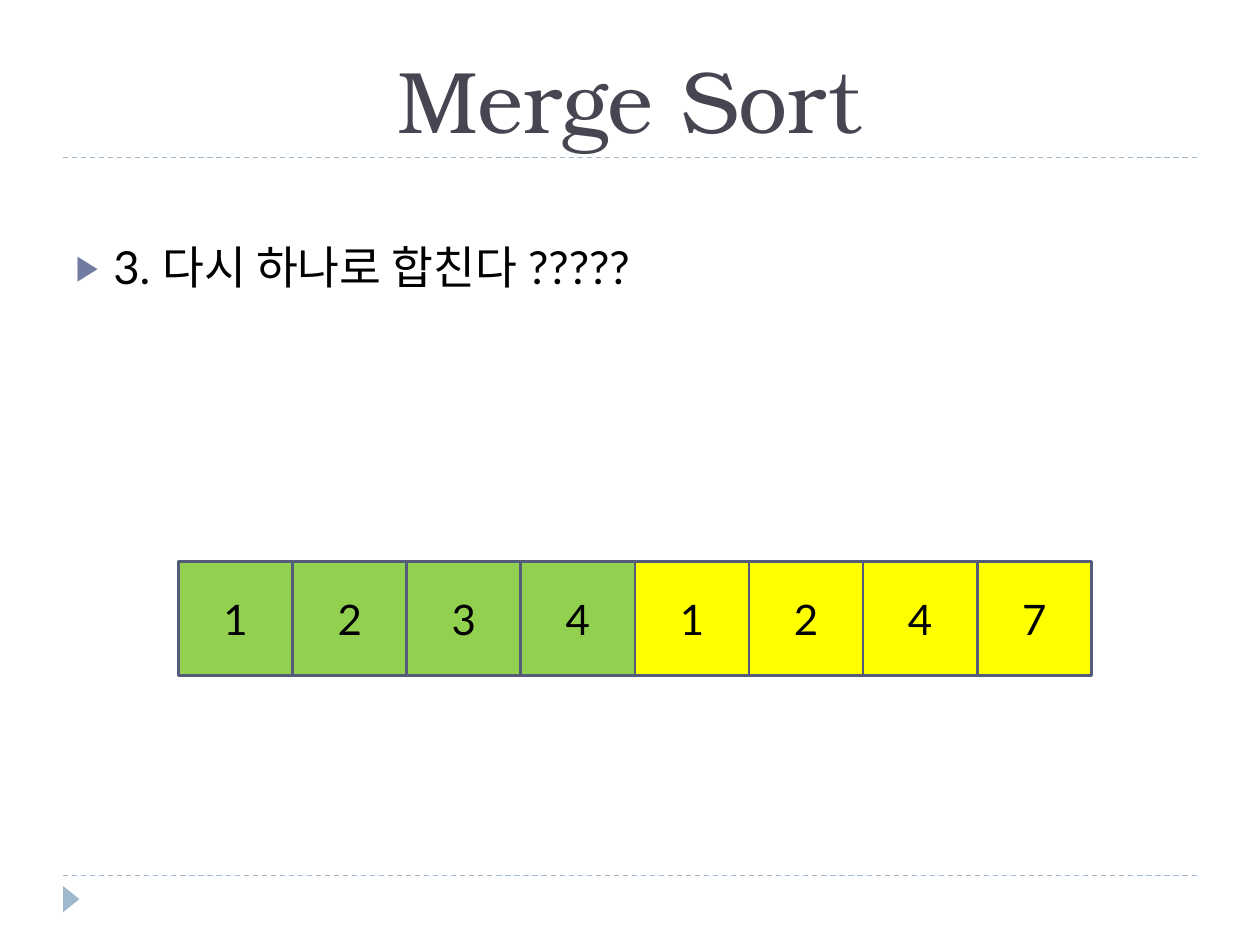
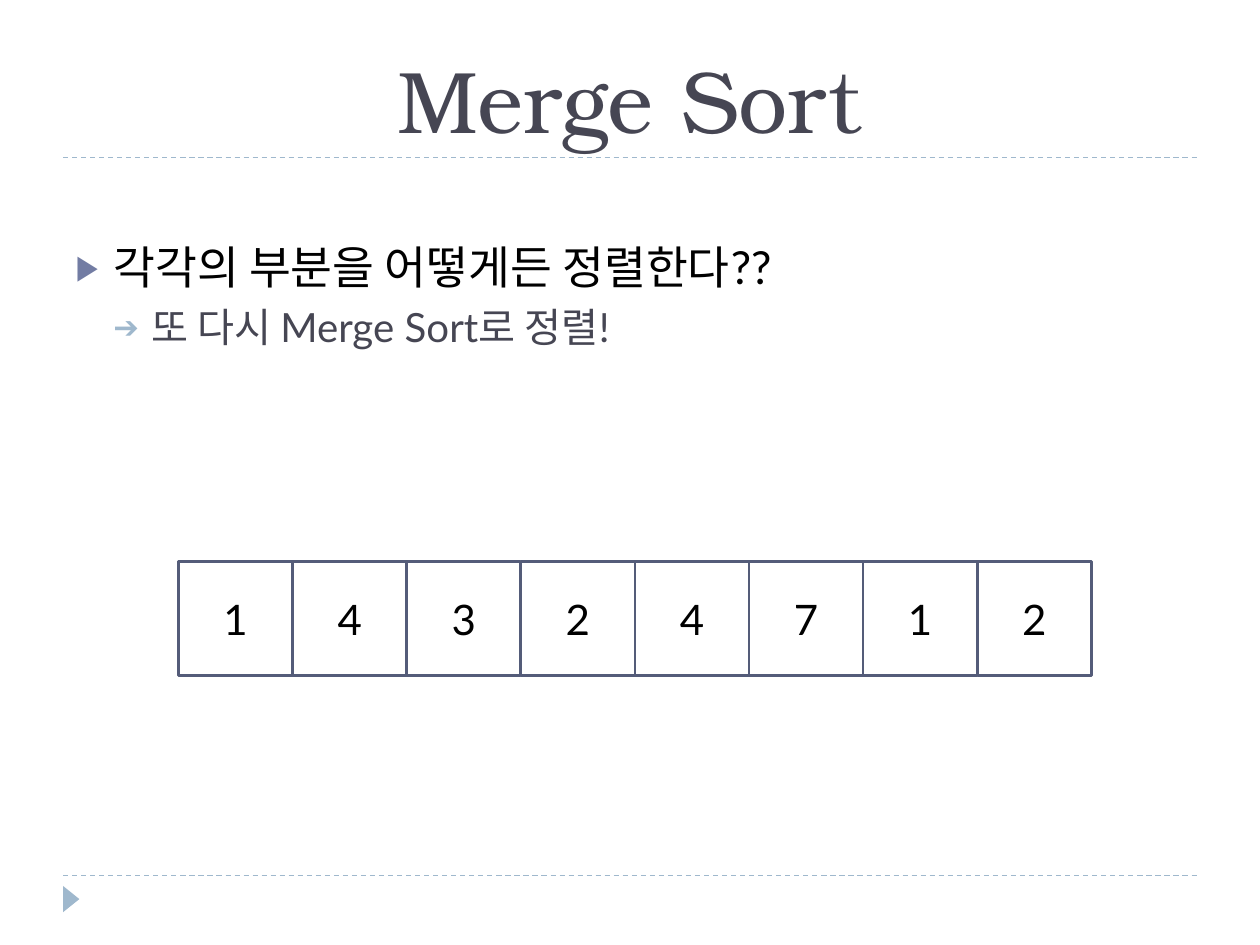
"""Build two Merge Sort slides showing the array before and after sorting its halves."""
from dataclasses import dataclass

from lxml import etree
from pptx import Presentation
from pptx import util as u
from pptx.dml.color import RGBColor
from pptx.enum import dml, shapes, text
from pptx.oxml.ns import qn


@dataclass(frozen=True)
class Theme:
    title_font: str = "TeX Gyre Bonum"
    body_font: str = "Lato"
    ink: str = "000000"
    heading: str = "464653"
    accent: str = "9FB8CD"
    marker: str = "727CA3"
    outline: str = "545C79"
    white: str = "FFFFFF"
    green: str = "92D050"
    yellow: str = "FFFF00"
    title_size: int = 50
    list_size: int = 26
    sublist_size: int = 23
    cell_size: int = 24


theme = Theme()


def add_run(paragraph, words, font, size, color):
    run = paragraph.add_run()
    run.text = words
    run.font.name = font
    run.font.size = u.Pt(size)
    run.font.color.rgb = RGBColor.from_string(color)


def set_bullet(paragraph, character, color, indent):
    properties = paragraph._p.get_or_add_pPr()
    properties.set("marL", str(indent))
    properties.set("indent", str(-u.Cm(0.76)))
    bullet_color = etree.SubElement(properties, qn("a:buClr"))
    etree.SubElement(bullet_color, qn("a:srgbClr"), val=color)
    etree.SubElement(properties, qn("a:buSzPct"), val="76000")
    etree.SubElement(properties, qn("a:buFont"), typeface=theme.body_font)
    etree.SubElement(properties, qn("a:buChar"), char=character)


levels = [
    ("▶", theme.marker, u.Cm(0.76), theme.list_size, theme.ink, 6),
    ("➔", theme.accent, u.Cm(1.52), theme.sublist_size, theme.heading, 5),
]
slides = [
    (["3. 다시 하나로 합친다 ?????"],
     [1, 2, 3, 4, 1, 2, 4, 7], [theme.green, theme.yellow]),
    (["각각의 부분을 어떻게든 정렬한다??", "또 다시 Merge Sort로 정렬!"],
     [1, 4, 3, 2, 4, 7, 1, 2], [theme.white, theme.white]),
]
cell_side = u.Cm(2.3)

presentation = Presentation()
presentation.slide_width, presentation.slide_height = u.Cm(25.4), u.Cm(19.05)

for bullets, numbers, half_fills in slides:
    slide = presentation.slides.add_slide(presentation.slide_layouts[1])

    for height in (17.65, 3.18):
        rule = slide.shapes.add_connector(
            shapes.MSO_CONNECTOR.STRAIGHT, u.Cm(1.27), u.Cm(height), u.Cm(24.13), u.Cm(height))
        rule.line.color.rgb = RGBColor.from_string(theme.accent)
        rule.line.width = u.Pt(0.75)
        rule.line.dash_style = dml.MSO_LINE.DASH
        etree.SubElement(rule._element.spPr, qn("a:effectLst"))

    pointer = slide.shapes.add_shape(
        shapes.MSO_SHAPE.ISOSCELES_TRIANGLE, u.Cm(1.17), u.Cm(17.96), u.Cm(0.53), u.Cm(0.33))
    pointer.rotation = 90
    pointer.shadow.inherit = False
    pointer.fill.solid()
    pointer.fill.fore_color.rgb = RGBColor.from_string(theme.accent)
    pointer.line.fill.background()

    title = slide.shapes.title
    title.left, title.top, title.width, title.height = u.Cm(1.27), u.Cm(0.43), u.Cm(22.86), u.Cm(2.75)
    title.text_frame.auto_size = text.MSO_AUTO_SIZE.NONE
    title.text_frame.vertical_anchor = text.MSO_ANCHOR.BOTTOM
    paragraph = title.text_frame.paragraphs[0]
    paragraph.alignment = text.PP_ALIGN.CENTER
    add_run(paragraph, "Merge Sort", theme.title_font, theme.title_size, theme.heading)

    body = slide.placeholders[1]
    body.left, body.top, body.width, body.height = u.Cm(1.27), u.Cm(4.69), u.Cm(22.86), u.Cm(12.4)
    body.text_frame.auto_size = text.MSO_AUTO_SIZE.NONE
    for level, words in enumerate(bullets):
        character, marker_color, indent, size, color, space = levels[level]
        paragraph = body.text_frame.add_paragraph() if level else body.text_frame.paragraphs[0]
        paragraph.level = level
        paragraph.space_before = u.Pt(space)
        set_bullet(paragraph, character, marker_color, indent)
        add_run(paragraph, words, theme.body_font, size, color)

    for index, number in enumerate(numbers):
        cell = slide.shapes.add_shape(
            shapes.MSO_SHAPE.RECTANGLE, u.Cm(3.6) + index * cell_side, u.Cm(11.32), cell_side, cell_side)
        cell.shadow.inherit = False
        cell.fill.solid()
        cell.fill.fore_color.rgb = RGBColor.from_string(half_fills[index * 2 // len(numbers)])
        cell.line.color.rgb = RGBColor.from_string(theme.outline)
        cell.line.width = u.Pt(1.5)
        cell.text_frame.vertical_anchor = text.MSO_ANCHOR.MIDDLE
        paragraph = cell.text_frame.paragraphs[0]
        paragraph.alignment = text.PP_ALIGN.CENTER
        add_run(paragraph, str(number), theme.body_font, theme.cell_size, theme.ink)

presentation.save("out.pptx")
